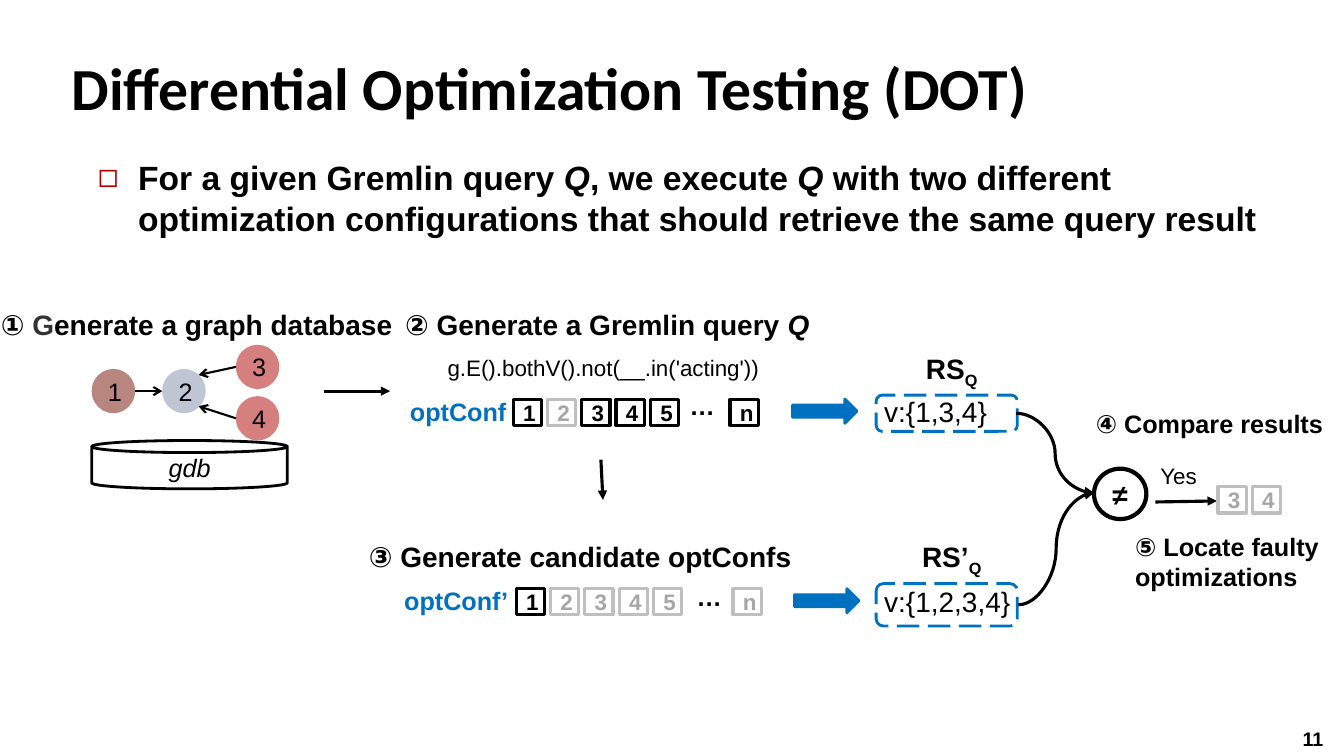
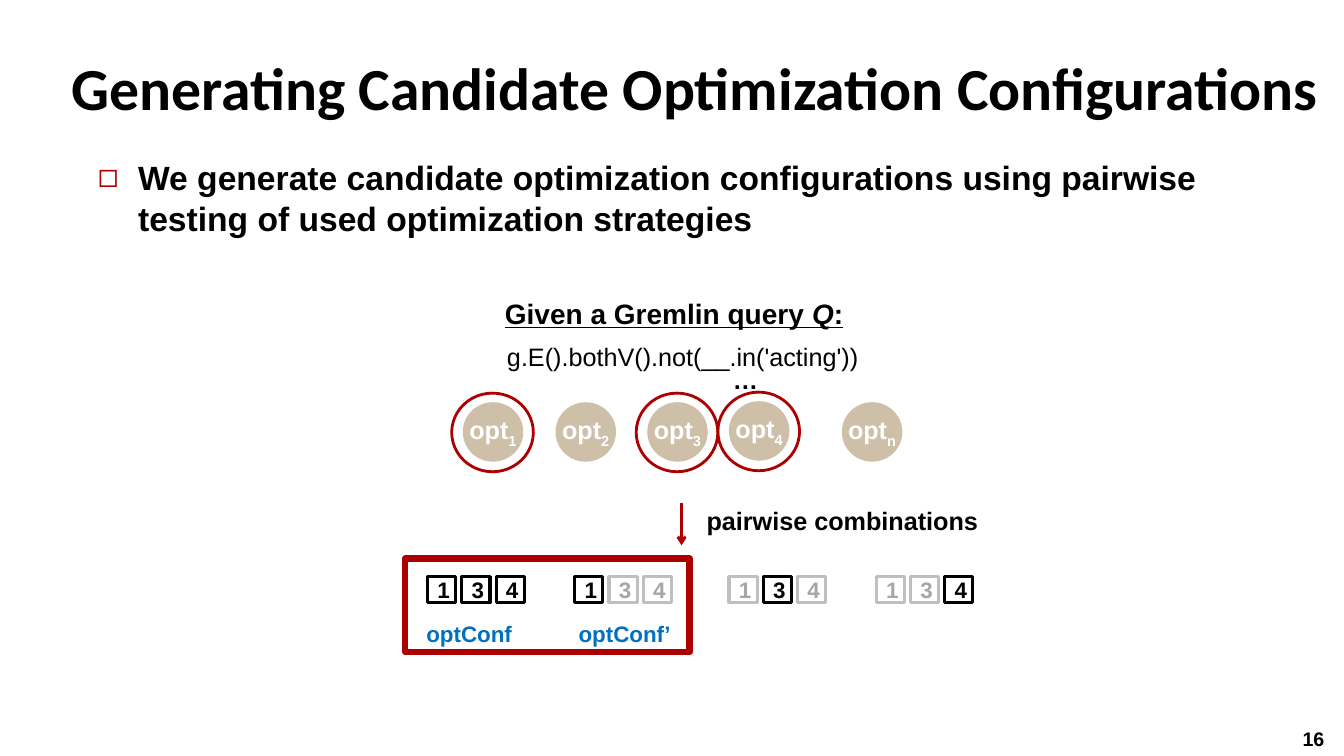
import lxml.etree
import pptx
import pptx.dml.color
import pptx.enum.dml
import pptx.enum.shapes
import pptx.enum.text
import pptx.oxml.ns
import pptx.util

Inches = pptx.util.Inches
Pt = pptx.util.Pt
SHAPE = pptx.enum.shapes.MSO_SHAPE
CONNECTOR = pptx.enum.shapes.MSO_CONNECTOR
ALIGN = pptx.enum.text.PP_ALIGN
ANCHOR = pptx.enum.text.MSO_ANCHOR
AUTO_SIZE = pptx.enum.text.MSO_AUTO_SIZE

BLACK, WHITE, RED, BLUE = "000000", "FFFFFF", "AD0101", "0070C0"
GREY_LINE, GREY_TEXT, TAN = "BFBFBF", "A6A6A6", "CDBFA8"
ITALIC = {"italic": True}
SUBSCRIPT = {"baseline": -25000}
QUERY = "g.E().bothV().not(__.in('acting'))"


def rgb(value):
    return pptx.dml.color.RGBColor.from_string(value)


def add_xml(parent, tag, **attributes):
    return lxml.etree.SubElement(parent, pptx.oxml.ns.qn(tag), attributes)


class Deck:
    TITLE = {"name": "Calibri", "size": Pt(42.6), "bold": True}
    BODY = {"size": Pt(24), "bold": True}
    TITLE_PARAGRAPH = {"alignment": ALIGN.LEFT, "line_spacing": Pt(46.6)}
    BODY_PARAGRAPH = {"alignment": ALIGN.LEFT, "space_before": Pt(16)}

    def __init__(self):
        self.presentation = pptx.Presentation()
        self.presentation.slide_width = Inches(13.33)
        self.presentation.slide_height = Inches(7.5)
        self.slide = None

    def apply(self, target, values):
        for attribute, value in values.items():
            setattr(target, attribute, value)

    def fill_text(self, frame, content, color=BLACK, paragraph_format=None, **style):
        paragraph = frame.paragraphs[0]
        self.apply(paragraph, paragraph_format or {})
        parts = [(content, {})] if isinstance(content, str) else content
        for words, changes in parts:
            values = {"name": "Arial", "size": Pt(18), "bold": False, **style, **changes}
            baseline = values.pop("baseline", None)
            run_color = values.pop("color", color)
            run = paragraph.add_run()
            run.text = words
            self.apply(run.font, values)
            run.font.color.rgb = rgb(run_color)
            if baseline:
                run._r.get_or_add_rPr().set("baseline", str(baseline))
        return paragraph

    def place(self, holder, left, top, width, height):
        self.apply(holder, {"left": Inches(left), "top": Inches(top),
                            "width": Inches(width), "height": Inches(height)})

    def start_slide(self, heading, statement, number, heading_width=11.84):
        self.slide = self.presentation.slides.add_slide(self.presentation.slide_layouts[1])
        title, body = self.slide.placeholders
        self.place(title, 0.61, 0.34, heading_width, 0.93)
        self.apply(title.text_frame, {"vertical_anchor": ANCHOR.BOTTOM,
                                      "auto_size": AUTO_SIZE.NONE})
        self.fill_text(title.text_frame, heading,
                       paragraph_format=self.TITLE_PARAGRAPH, **self.TITLE)
        self.place(body, 0.87, 1.51, 11.8, 0.91)
        body.text_frame.auto_size = AUTO_SIZE.SHAPE_TO_FIT_TEXT
        paragraph = self.fill_text(body.text_frame, statement,
                                   paragraph_format=self.BODY_PARAGRAPH, **self.BODY)
        properties = paragraph._p.get_or_add_pPr()
        properties.set("marL", str(Inches(0.4)))
        properties.set("indent", str(Inches(-0.4)))
        add_xml(add_xml(properties, "a:buClr"), "a:srgbClr", val=RED)
        add_xml(properties, "a:buFont", typeface="Arial")
        add_xml(properties, "a:buChar", char="◻")
        self.text(12.82, 7.16, 0.48, 0.34, number, 14, bold=True)

    def text(self, left, top, width, height, content, size, align=ALIGN.LEFT, **style):
        box = self.slide.shapes.add_textbox(*map(Inches, (left, top, width, height)))
        box.text_frame.word_wrap = True
        self.fill_text(box.text_frame, content, paragraph_format={"alignment": align},
                       size=Pt(size), **style)

    def shape(self, kind, left, top, width, height, fill=None, line=None, weight=2,
              alpha=None, dash=None, content=None, wrap=True, **style):
        shape = self.slide.shapes.add_shape(kind, *map(Inches, (left, top, width, height)))
        shape.shadow.inherit = False
        if fill:
            shape.fill.solid()
            shape.fill.fore_color.rgb = rgb(fill)
            if alpha:
                solid = shape._element.spPr.find(pptx.oxml.ns.qn("a:solidFill"))
                add_xml(solid[0], "a:alpha", val=str(alpha * 1000))
        else:
            shape.fill.background()
        if line:
            shape.line.color.rgb = rgb(line)
            self.apply(shape.line, {"width": Pt(weight), "dash_style": dash})
        else:
            shape.line.fill.background()
        if content:
            self.apply(shape.text_frame, {"vertical_anchor": ANCHOR.MIDDLE, "word_wrap": wrap})
            self.fill_text(shape.text_frame, content,
                           paragraph_format={"alignment": ALIGN.CENTER}, **style)

    def arrow(self, start, end, color=BLACK, weight=2.25, head="triangle",
              kind=CONNECTOR.STRAIGHT):
        connector = self.slide.shapes.add_connector(kind, *map(Inches, (*start, *end)))
        connector.line.color.rgb = rgb(color)
        connector.line.width = Pt(weight)
        add_xml(connector.line._get_or_add_ln(), "a:tailEnd", type=head)
        add_xml(connector._element.spPr, "a:effectLst")

    def flags(self, left, top, labels, enabled, pitch=0.34):
        for index, label in enumerate(labels):
            active = label in enabled
            self.shape(SHAPE.RECTANGLE, left + index * pitch, top, 0.28, 0.26,
                       line=BLACK if active else GREY_LINE, weight=2.25, content=label,
                       color=BLACK if active else GREY_TEXT, size=Pt(16), bold=True)

    def result(self, top, height, name, name_top, values, values_top):
        self.shape(SHAPE.ROUNDED_RECTANGLE, 8.69, top, 1.4, height, line=BLUE,
                   dash=pptx.enum.dml.MSO_LINE.LONG_DASH)
        self.text(8.96, name_top, 0.96, 0.44, [(name, {}), ("Q", SUBSCRIPT)], 20,
                  ALIGN.CENTER, bold=True)
        self.text(8.67, values_top, 1.48, 0.35, values, 20)


def build_testing(deck):
    deck.start_slide("Differential Optimization Testing (DOT)", [
        ("For a given Gremlin query ", {}), ("Q", ITALIC), (", we execute ", {}),
        ("Q", ITALIC),
        (" with two different optimization configurations that should retrieve "
         "the same query result", {})], "11")

    deck.text(-0.09, 3, 4.43, 0.8, [("① ", {}), ("G", {"color": "333333"}),
                                    ("enerate a graph database", {})], 20, bold=True)
    for label, left, top, fill in (("1", 0.91, 3.66, "730E00"), ("2", 1.61, 3.66, "808DA9"),
                                   ("3", 2.34, 3.42, RED), ("4", 2.34, 3.93, RED)):
        deck.shape(SHAPE.FLOWCHART_CONNECTOR, left, top, 0.43, 0.44, fill, alpha=50,
                   content=label)
    for start, end in (((1.34, 3.88), (1.61, 3.88)), ((2.34, 3.64), (1.97, 3.72)),
                       ((2.34, 4.15), (1.97, 4.03))):
        deck.arrow(start, end, weight=1.5, head="arrow")
    deck.shape(SHAPE.CAN, 0.91, 4.37, 1.94, 0.48, WHITE, BLACK, content="gdb", italic=True)

    deck.text(3.92, 3, 4.47, 0.48, [("② Generate a Gremlin query ", {}), ("Q", ITALIC)],
              20, bold=True)
    deck.text(4.34, 3.46, 3.52, 0.54, QUERY, 16)
    deck.text(3.42, 5.3, 4.67, 0.53, "③ Generate candidate optConfs", 20, ALIGN.CENTER,
              bold=True)

    for name, name_top, name_width, left, top, enabled, dots, dots_top, arrow_left in (
            ("optConf", 3.88, 1.37, 5.09, 3.96, "1345n", 6.74, 3.82, 7.86),
            ("optConf’", 5.76, 1.33, 5.12, 5.84, "1", 6.81, 5.72, 7.88)):
        deck.text(3.86, name_top, name_width, 0.4, name, 18, ALIGN.CENTER, color=BLUE,
                  bold=True)
        deck.flags(left, top, "12345", enabled)
        deck.text(dots, dots_top, 0.35, 0.4, "…", 18, bold=True)
        deck.flags(left + 2.15, top, "n", enabled)
        deck.shape(SHAPE.RIGHT_ARROW, arrow_left, top, 0.64, 0.24, BLUE, BLUE)

    deck.result(3.92, 0.36, "RS", 3.44, "v:{1,3,4}", 3.86)
    deck.result(5.79, 0.42, "RS’", 5.3, "v:{1,2,3,4}", 5.75)
    for start in ((10.08, 4.1), (10.1, 6)):
        deck.arrow(start, (10.85, 4.89), kind=CONNECTOR.CURVE)
    deck.shape(SHAPE.OVAL, 10.85, 4.65, 0.52, 0.5, WHITE, BLACK, 3, content="≠",
               size=Pt(20), bold=True)
    for start, end in (((3.21, 3.88), (3.87, 3.88)), ((5.96, 4.56), (5.98, 4.96)),
                       ((11.46, 4.98), (12.07, 4.97))):
        deck.arrow(start, end)

    deck.text(10.77, 4, 2.51, 0.4, "④ Compare results", 18, bold=True)
    deck.text(11.41, 4.54, 0.71, 0.37, "Yes", 16)
    deck.flags(12.08, 4.83, "34", "")
    deck.text(11.16, 5.22, 2.12, 0.71, "⑤ Locate faulty optimizations", 18, bold=True)


def build_candidates(deck):
    deck.start_slide("Generating Candidate Optimization Configurations",
                     "We generate candidate optimization configurations using pairwise "
                     "testing of used optimization strategies", "16", 12.72)

    deck.text(4.91, 2.89, 4.24, 0.48,
              [("Given a Gremlin query ", {}), ("Q", ITALIC), (":", {})], 20,
              bold=True, underline=True)
    deck.text(4.93, 3.34, 3.85, 0.54, QUERY, 18)
    deck.text(7.17, 3.57, 0.7, 0.4, "…", 18, bold=True)
    for index, left, top, used in (("1", 4.59, 3.99, True), ("2", 5.51, 3.99, False),
                                   ("3", 6.42, 3.99, True), ("4", 7.23, 3.98, True),
                                   ("n", 8.35, 3.99, False)):
        deck.shape(SHAPE.FLOWCHART_CONNECTOR, left, top, 0.6, 0.59, TAN, wrap=False,
                   content=[("opt", {}), (index, SUBSCRIPT)], color=WHITE, bold=True)
        if used:
            deck.shape(SHAPE.OVAL, left - 0.11, top - 0.09, 0.81, 0.78, line=RED)

    deck.arrow((6.76, 4.99), (6.76, 5.41), RED, 2, "arrow")
    deck.text(6.91, 4.96, 4.44, 0.4, "pairwise combinations", 18, bold=True)
    for left, enabled in ((4.24, "134"), (5.7, "1"), (7.23, "3"), (8.69, "4")):
        deck.flags(left, 5.72, "134", enabled)
    for name, left in (("optConf", 4.13), ("optConf’", 5.64)):
        deck.text(left, 6.1, 1.15, 0.37, name, 16, color=BLUE, bold=True)
    deck.shape(SHAPE.RECTANGLE, 4.02, 5.54, 2.82, 0.93, line=RED, weight=4.5)


def main():
    deck = Deck()
    build_testing(deck)
    build_candidates(deck)
    deck.presentation.save("out.pptx")


if __name__ == "__main__":
    main()
